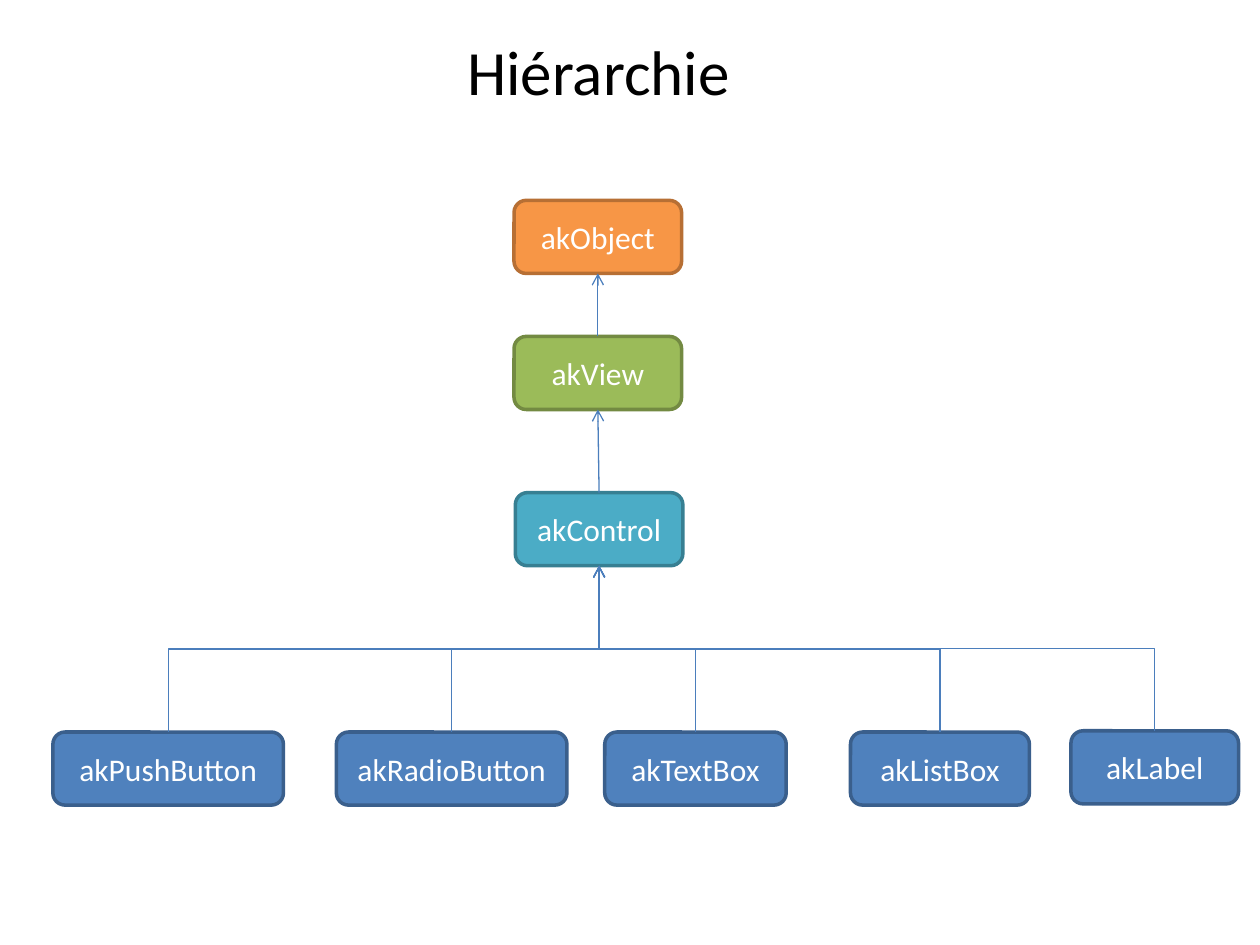
from dataclasses import dataclass

from lxml.etree import SubElement
from pptx import Presentation
from pptx.dml.color import RGBColor
from pptx.enum.shapes import MSO_CONNECTOR, MSO_SHAPE
from pptx.enum.text import MSO_ANCHOR, PP_ALIGN
from pptx.oxml.ns import qn
from pptx.util import Inches, Pt


@dataclass(frozen=True)
class Theme:
    font: str = "Calibri"
    title_size: int = 36
    class_size: int = 18
    border: float = 2
    arrow_width: float = 0.75
    ink: str = "000000"
    paper: str = "FFFFFF"
    arrow: str = "4B7EBC"
    root: tuple = ("F79646", "B76F34")
    view: tuple = ("9BBB59", "738A42")
    control: tuple = ("4BACC6", "377F92")
    widget: tuple = ("4F81BD", "3A5F8C")


THEME = Theme()
CLASS_HEIGHT = 0.58
CLASS_WIDTH = 1.33
TOP_SITE, BOTTOM_SITE = 0, 2

# Ancestors: name, left, top, (fill, border), relative to the diagram
ANCESTORS = [
    ("akObject", 3.66, 0, THEME.root),
    ("akView", 3.66, 1.08, THEME.view),
    ("akControl", 3.67, 2.32, THEME.control),
]
# Widgets: name, left, top, width, relative to the diagram
WIDGETS = [
    ("akPushButton", 0, 4.22, 1.83),
    ("akRadioButton", 2.25, 4.22, 1.83),
    ("akTextBox", 4.38, 4.22, 1.44),
    ("akListBox", 6.33, 4.22, 1.42),
    ("akLabel", 8.08, 4.21, CLASS_WIDTH),
]


def apply(target, values):
    for name, value in values.items():
        setattr(target, name, value)


def write(frame, text, size, color, **frame_format):
    apply(frame, {"word_wrap": True, **frame_format})
    paragraph = frame.paragraphs[0]
    paragraph.alignment = PP_ALIGN.CENTER
    run = paragraph.add_run()
    apply(run, {"text": text})
    apply(run.font, {"name": THEME.font, "size": Pt(size)})
    run.font.color.rgb = RGBColor.from_string(color)


def add_title(slide, left, top, width, height):
    title = slide.shapes.add_textbox(*map(Inches, (left, top, width, height)))
    write(title.text_frame, "Hiérarchie", THEME.title_size, THEME.ink)


def add_class(slide, name, left, top, width, colors):
    node = slide.shapes.add_shape(
        MSO_SHAPE.ROUNDED_RECTANGLE,
        *map(Inches, (left, top, width, CLASS_HEIGHT)))
    fill, border = map(RGBColor.from_string, colors)
    node.shadow.inherit = False
    node.fill.solid()
    node.fill.fore_color.rgb = fill
    node.line.color.rgb = border
    node.line.width = Pt(THEME.border)
    write(node.text_frame, name, THEME.class_size, THEME.paper,
          vertical_anchor=MSO_ANCHOR.MIDDLE)
    return node


def add_inheritance(slide, child, parent, kind):
    arrow = slide.shapes.add_connector(kind, 0, 0, 0, 0)
    arrow.begin_connect(child, TOP_SITE)
    arrow.end_connect(parent, BOTTOM_SITE)
    arrow.line.color.rgb = RGBColor.from_string(THEME.arrow)
    arrow.line.width = Pt(THEME.arrow_width)
    SubElement(arrow.line._get_or_add_ln(), qn("a:tailEnd"), type="arrow")
    SubElement(arrow._element.spPr, qn("a:effectLst"))
    if kind == MSO_CONNECTOR.ELBOW:
        turn_upright(arrow)


def turn_upright(arrow):
    """Rotate an elbow so that it leaves and arrives vertically."""
    dx, rise = arrow.end_x - arrow.begin_x, arrow.begin_y - arrow.end_y
    center_x = (arrow.begin_x + arrow.end_x) // 2
    center_y = (arrow.begin_y + arrow.end_y) // 2
    span = abs(dx)
    apply(arrow, {"left": center_x - rise // 2, "top": center_y - span // 2,
                  "width": rise, "height": span})
    xfrm = arrow._element.spPr.find(qn("a:xfrm"))
    rightward = dx > 0
    values = {"rot": "5400000" if rightward else "16200000",
              "flipH": "1" if rightward else "0", "flipV": "1"}
    for name, value in values.items():
        xfrm.set(name, value)


def add_hierarchy(slide, left, top):
    # Class boxes
    ancestors = [add_class(slide, name, left + x, top + y, CLASS_WIDTH, colors)
                 for name, x, y, colors in ANCESTORS]
    widgets = [add_class(slide, name, left + x, top + y, width, THEME.widget)
               for name, x, y, width in WIDGETS]
    # Inheritance arrows
    for parent, child in zip(ancestors, ancestors[1:]):
        add_inheritance(slide, child, parent, MSO_CONNECTOR.STRAIGHT)
    for widget in widgets:
        add_inheritance(slide, widget, ancestors[-1], MSO_CONNECTOR.ELBOW)


presentation = Presentation()
apply(presentation, {"slide_width": Inches(10), "slide_height": Inches(7.5)})
hierarchy_slide = presentation.slides.add_slide(presentation.slide_layouts[6])
add_hierarchy(hierarchy_slide, 0.42, 1.59)
add_title(hierarchy_slide, 3.52, 0.21, 2.46, 0.71)
presentation.save("out.pptx")
